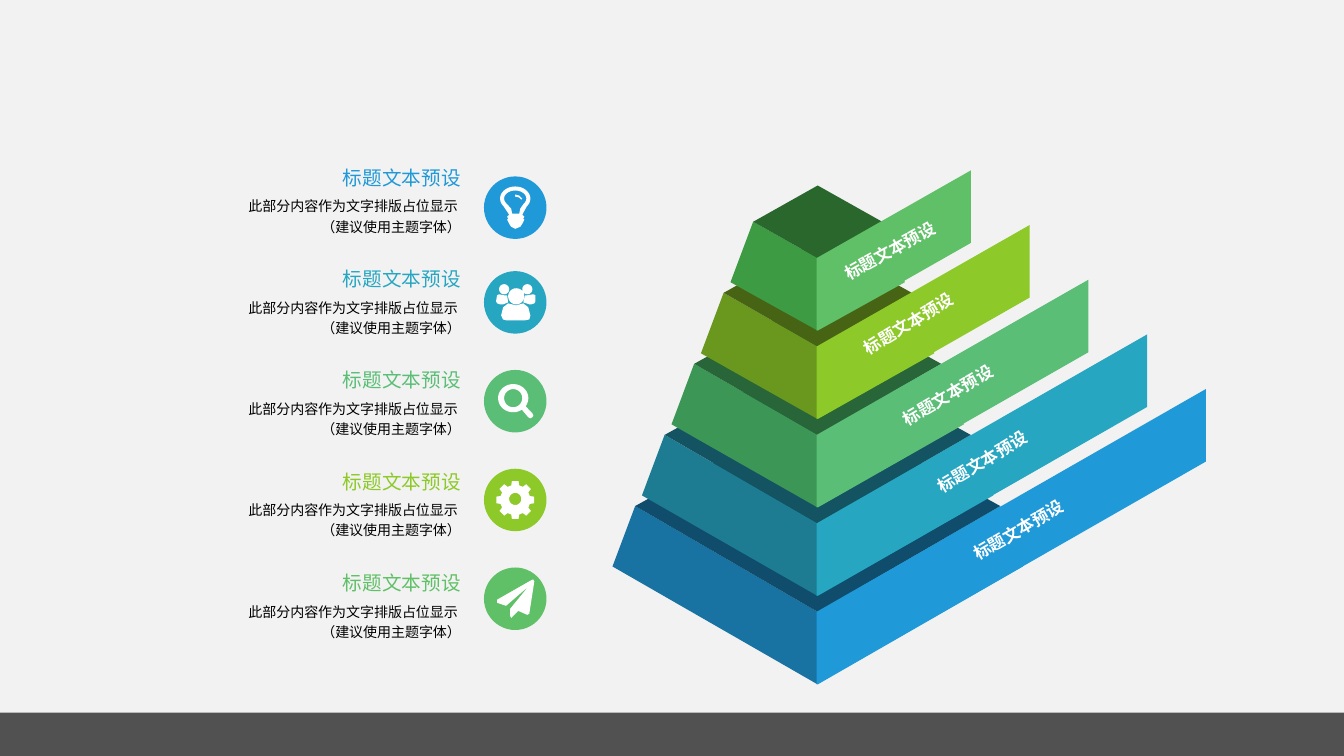
"""Build a slide with a five-layer pyramid and a matching list of icon captions."""
from math import cos, radians, sin

from lxml.etree import SubElement
from pptx import Presentation
from pptx.dml.color import RGBColor
from pptx.enum.shapes import MSO_SHAPE
from pptx.enum.text import MSO_ANCHOR, PP_ALIGN
from pptx.oxml.ns import qn
from pptx.util import Inches, Pt

COLORS = {
    "background": "F2F2F2", "footer": "0D0D0D", "white": "FFFFFF", "black": "000000",
    "blue": "2099D8", "blue left": "1873A2", "blue top": "104C6C",
    "teal": "27A6C2", "teal left": "1D7C92", "teal top": "145361",
    "green": "5BBE77", "green left": "3C9756", "green top": "286539",
    "lime": "8DC928", "lime left": "6A971E", "lime top": "476414",
    "leaf": "60C067", "leaf left": "3D9B44", "leaf top": "29672D",
}
THEMES = ["blue", "teal", "green", "lime", "leaf"]
TITLE = "标题文本预设"
BODY = "此部分内容作为文字排版占位显示 \n（建议使用主题字体）"


def arc(center_x, center_y, radius_x, radius_y, start=0, end=360):
    """Return points along an elliptical arc, clockwise in degrees."""
    angles = [radians(start + (end - start) * step / 36) for step in range(37)]
    return [(center_x + radius_x * cos(a), center_y + radius_y * sin(a)) for a in angles]


def draw(contours, color):
    """Draw closed contours, given in inches, as one filled freeform."""
    contours = [[(Inches(x), Inches(y)) for x, y in contour] for contour in contours]
    builder = slide.shapes.build_freeform(*contours[0][0], scale=1.0)
    builder.add_line_segments(contours[0][1:])
    for contour in contours[1:]:
        builder.move_to(*contour[0])
        builder.add_line_segments(contour[1:])
    shape = builder.convert_to_shape()
    shape.shadow.inherit = False
    shape.fill.solid()
    shape.fill.fore_color.rgb = RGBColor.from_string(COLORS[color])
    shape.line.fill.background()


presentation = Presentation()
presentation.slide_width = Inches(13.33)
presentation.slide_height = Inches(7.5)
slide = presentation.slides.add_slide(presentation.slide_layouts[6])
slide.background.fill.solid()
slide.background.fill.fore_color.rgb = RGBColor.from_string(COLORS["background"])

circle_tops = [1.75, 2.69, 3.67, 4.65, 5.63]
presets = [(MSO_SHAPE.RECTANGLE, (0, 7.07, 13.33, 0.44), "footer", 70)]
presets += [(MSO_SHAPE.OVAL, (4.8, top, 0.62, 0.62), theme, 100)
            for top, theme in zip(circle_tops, THEMES)]
for kind, box, color, opacity in presets:
    shape = slide.shapes.add_shape(kind, *[Inches(length) for length in box])
    shape.shadow.inherit = False
    shape.fill.solid()
    shape.fill.fore_color.rgb = RGBColor.from_string(COLORS[color])
    shape.line.fill.background()
    if opacity < 100:
        color_element = next(shape.element.spPr.iter(qn("a:srgbClr")))
        SubElement(color_element, qn("a:alpha")).set("val", str(opacity * 1000))

axis = 8.11
banners = []
for level, theme in enumerate(THEMES):
    half = 1.81 - 0.2925 * level
    shoulder = 5.02 - 0.705 * level
    front = 6.07 - 0.8775 * level
    back = 4.02 - 0.545 * level
    banner_right = 11.96 - 0.5825 * level
    banner_top = 3.86 - 0.5425 * level
    for side, color in [(-1, f"{theme} left"), (1, theme)]:
        draw([[(axis + side * half, shoulder), (axis + side * (half + 0.225), shoulder + 0.6),
               (axis, front + 0.72), (axis, front)]], color)
    draw([[(axis, front), (axis - half, shoulder), (axis, back), (axis + half, shoulder)]],
         f"{theme} top")
    banners.append([(banner_right, banner_top), (axis - 0.01, front),
                    (axis - 0.01, front + 0.72), (banner_right, banner_top + 0.72)])
for banner, theme in zip(banners, THEMES):
    draw([banner], theme)

gear = [(5.11 + radius * cos(radians(tooth * 45 + turn)),
         4.96 + radius * sin(radians(tooth * 45 + turn)))
        for tooth in range(8)
        for turn, radius in [(-15, 0.15), (-10, 0.19), (10, 0.19), (15, 0.15)]]
icons = {
    "bulb": [
        arc(5.11, 1.97, 0.15, 0.12, 140, 400)
        + [(5.18, 2.13), (5.2, 2.15), (5.19, 2.17), (5.2, 2.18), (5.18, 2.22), (5.16, 2.25),
           (5.11, 2.27), (5.07, 2.25), (5.05, 2.22), (5.03, 2.18), (5.04, 2.17),
           (5.03, 2.15), (5.05, 2.13)],
        arc(5.11, 1.97, 0.11, 0.08, 140, 400) + [(5.16, 2.07), (5.15, 2.12),
                                                 (5.08, 2.12), (5.07, 2.07)],
        [(5.11, 1.93), (5.15, 1.94), (5.18, 1.97), (5.17, 1.98), (5.15, 1.96), (5.11, 1.95)],
    ],
    "people": [
        arc(5, 2.87, 0.05, 0.05), arc(5.23, 2.87, 0.05, 0.05), arc(5.12, 2.94, 0.08, 0.08),
        [(4.96, 3.02), (4.93, 3.01), (4.92, 2.99), (4.93, 2.93), (4.95, 2.92), (5, 2.93),
         (5.03, 2.93), (5.04, 3), (4.99, 3.02)],
        [(5.27, 3.02), (5.3, 3.01), (5.31, 2.99), (5.31, 2.93), (5.29, 2.92), (5.23, 2.93),
         (5.21, 2.93), (5.19, 3), (5.25, 3.02)],
        [(5.03, 3.18), (4.99, 3.17), (4.97, 3.13), (4.99, 3.05), (5.04, 3.01), (5.12, 3.03),
         (5.19, 3.01), (5.24, 3.05), (5.26, 3.13), (5.25, 3.17), (5.2, 3.18)],
    ],
    "magnifier": [
        arc(5.09, 3.95, 0.15, 0.14, 55, 395) + [(5.28, 4.1), (5.29, 4.12), (5.28, 4.14),
                                                (5.26, 4.15), (5.24, 4.14)],
        arc(5.09, 3.95, 0.09, 0.09),
    ],
    "gear": [gear, arc(5.11, 4.95, 0.06, 0.06)],
    "plane": [[(5.3, 5.77), (5.25, 6.09), (5.23, 6.1), (5.14, 6.06), (5.08, 6.12),
               (5.07, 6.13), (5.06, 6.11), (5.06, 6.04), (5.24, 5.82), (5.02, 6.01),
               (4.93, 5.98), (4.93, 5.95), (5.28, 5.75), (5.29, 5.75)]],
}
for contours in icons.values():
    draw(contours, "white")

banner_text = {"font": {"size": Pt(12), "bold": True}, "frame": {}, "paragraph": {}}
margins = {"margin_left": Inches(0.39), "margin_right": Inches(0.24),
           "margin_top": 0, "margin_bottom": 0}
title_text = {"font": {"size": Pt(14)},
              "frame": {**margins, "vertical_anchor": MSO_ANCHOR.MIDDLE},
              "paragraph": {"alignment": PP_ALIGN.RIGHT}}
body_text = {"font": {"size": Pt(10)}, "frame": margins,
             "paragraph": {"alignment": PP_ALIGN.RIGHT, "line_spacing": 1.2}}
banner_boxes = [((8.23, 2.32, 1.26, 0.32), 331), ((8.4, 2.99, 1.46, 0.32), 328.8),
                ((8.79, 3.7, 1.46, 0.32), 329.4), ((9.13, 4.36, 1.46, 0.32), 329),
                ((9.49, 5.04, 1.46, 0.32), 330)]
texts = [(TITLE, box, rotation, "white", banner_text) for box, rotation in banner_boxes]
for row, theme in enumerate(THEMES):
    top = 1.59 + 1.005 * row
    texts.append((TITLE, (1.62, top, 3.19, 0.34), 0, theme, title_text))
    texts.append((BODY, (1.62, top + 0.34, 3.19, 0.61), 0, "black", body_text))

for text, box, rotation, color, formats in texts:
    shape = slide.shapes.add_textbox(*[Inches(length) for length in box])
    shape.rotation = rotation
    frame = shape.text_frame
    frame.word_wrap = True
    paragraph = frame.paragraphs[0]
    paragraph.text = text
    for run in paragraph.runs:
        run.font.name = "Calibri"
        run.font.color.rgb = RGBColor.from_string(COLORS[color])
        for name, value in formats["font"].items():
            setattr(run.font, name, value)
    for target, group in [(frame, "frame"), (paragraph, "paragraph")]:
        for name, value in formats[group].items():
            setattr(target, name, value)

presentation.save("out.pptx")
